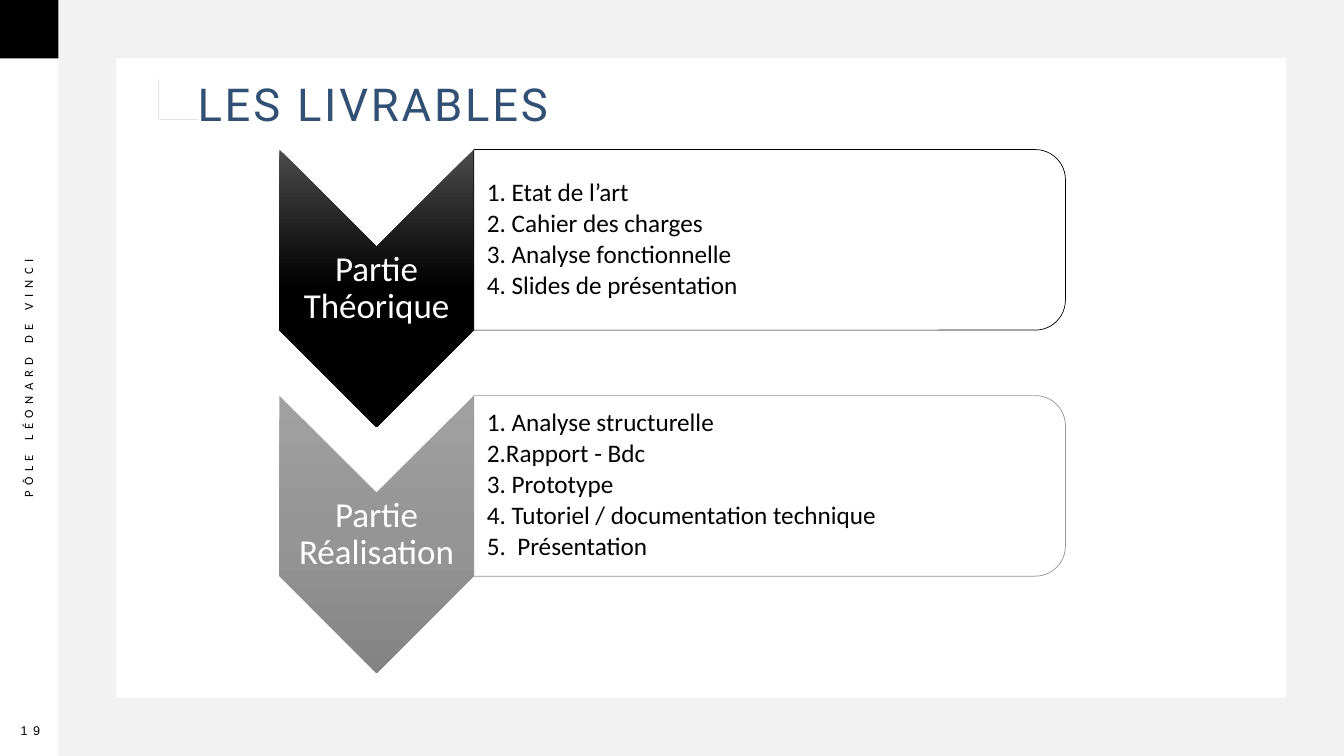
from lxml.etree import SubElement
from pptx import Presentation
from pptx.dml.color import RGBColor
from pptx.enum.shapes import MSO_SHAPE
from pptx.enum.text import MSO_ANCHOR, PP_ALIGN
from pptx.oxml.ns import qn
from pptx.util import Cm, Pt

COLORS = {"black": "000000", "white": "FFFFFF", "frame": "F2F2F2",
          "title": "305174", "accent": "1D395A", "grey": "959595"}
PARTS = [
    ("Partie Théorique", "black", ["4B4B4B", "000000", "000000"],
     [" Etat de l’art", " Cahier des charges", " Analyse fonctionnelle",
      " Slides de présentation"]),
    ("Partie Réalisation", "grey", ["A1A1A1", "959595", "848484"],
     [" Analyse structurelle", "Rapport - Bdc", " Prototype",
      " Tutoriel / documentation technique", "  Présentation"]),
]


def rgb(name):
    return RGBColor.from_string(COLORS[name])


def set_all(obj, values):
    for name, value in values.items():
        setattr(obj, name, value)


class Deck:
    """Holds the colours, fonts and current slide."""

    def __init__(self):
        self.prs = Presentation()
        set_all(self.prs, {"slide_width": Cm(33.87), "slide_height": Cm(19.05)})
        self.s = self.prs.slides.add_slide(self.prs.slide_layouts[6])

    def shape(self, kind, x, y, w, h, fill, line=None, turned=False):
        """Add a preset; a turned one is given by the box it fills on the slide."""
        if turned:
            x, y, w, h = x + (w - h) / 2, y + (h - w) / 2, h, w
        sp = self.s.shapes.add_shape(kind, Cm(x), Cm(y), Cm(w), Cm(h))
        sp.rotation = 90 if turned else 0
        self.paint(sp, fill, line)
        return sp

    def paint(self, sp, fill, line=None):
        sp.shadow.inherit = False
        sp.fill.solid()
        sp.fill.fore_color.rgb = rgb(fill)
        if line:
            sp.line.color.rgb = rgb(line)
            sp.line.width = Pt(0.5)
        else:
            sp.line.fill.background()

    def slash(self, points):
        fb = self.s.shapes.build_freeform(*points[0], scale=Cm(1))
        fb.add_line_segments(points[1:])
        self.paint(fb.convert_to_shape(), "accent")

    def chevron(self, x, y, w, h, shades):
        sp = self.shape(MSO_SHAPE.CHEVRON, x, y, w, h, "black", turned=True)
        solid = sp._element.spPr.find(qn("a:solidFill"))
        solid.tag = qn("a:gradFill")
        solid.clear()
        solid.set("rotWithShape", "0")
        stops = SubElement(solid, qn("a:gsLst"))
        for i, shade in enumerate(shades):
            gs = SubElement(stops, qn("a:gs"), pos=str(i * 50000))
            SubElement(gs, qn("a:srgbClr"), val=shade)
        SubElement(solid, qn("a:lin"), ang="5400000", scaled="0")

    def panel(self, x, y, w, h, line):
        sp = self.shape(MSO_SHAPE.ROUND_2_SAME_RECTANGLE, x, y, w, h,
                        "white", line, turned=True)
        color = sp._element.spPr.find(qn("a:solidFill"))[0]
        SubElement(color, qn("a:alpha"), val="90000")

    def text(self, x, y, w, h, lines, size, color="black", font="Calibri",
             align=PP_ALIGN.LEFT, anchor=MSO_ANCHOR.MIDDLE, spacing=0,
             left=0, numbered=False, wrap=True, rotation=0):
        sp = self.s.shapes.add_textbox(Cm(x), Cm(y), Cm(w), Cm(h))
        sp.rotation = rotation
        tf = sp.text_frame
        set_all(tf, {"word_wrap": wrap, "vertical_anchor": anchor,
                     "margin_left": Cm(left), "margin_right": 0,
                     "margin_top": 0, "margin_bottom": 0})
        for i, line in enumerate(lines):
            p = tf.paragraphs[0] if i == 0 else tf.add_paragraph()
            set_all(p, {"alignment": align, "line_spacing": 0.9})
            if numbered:
                p.space_after = Pt(2.7)
                pPr = p._p.get_or_add_pPr()
                pPr.set("marL", str(Cm(0.48)))
                pPr.set("indent", str(-Cm(0.48)))
                SubElement(pPr, qn("a:buFont"), typeface="+mj-lt")
                SubElement(pPr, qn("a:buAutoNum"), type="arabicPeriod")
            r = p.add_run()
            r.text = line
            set_all(r.font, {"size": Pt(size), "name": font})
            r.font.color.rgb = rgb(color)
            if spacing:
                r._r.get_or_add_rPr().set("spc", str(spacing * 100))


def main():
    deck = Deck()
    deck.text(-8.79, 9.17, 19.05, 0.74, ["PÔLE LÉONARD DE VINCI"], 9,
              align=PP_ALIGN.CENTER, spacing=4, rotation=270)
    frame = deck.shape(MSO_SHAPE.FRAME, 1.47, 0, 32.4, 19.05, "frame")
    frame.adjustments[0] = 0.077
    deck.shape(MSO_SHAPE.RECTANGLE, 0, 0, 1.47, 1.47, "black")
    deck.slash([(4.04, 2.21), (4.22, 2.21), (4.5, 2.74), (4.55, 2.9),
                (4.52, 3), (4.47, 3.05)])
    deck.text(0.18, 18.24, 1.07, 0.38, ["19"], 9, font="Arial",
              align=PP_ALIGN.CENTER, spacing=4, left=0.1, wrap=False)
    deck.text(4.98, 2.08, 25.6, 1.32, ["LES LIVRABLES"], 32.4, "title",
              "Roboto", anchor=MSO_ANCHOR.TOP, spacing=2)

    for i, (label, line, shades, items) in enumerate(PARTS):
        top = 3.77 + i * 6.2
        deck.chevron(7.04, top, 4.9, 6.99, shades)
        deck.text(7.04, top + 2.45, 4.9, 2.11, [label], 25, "white",
                  align=PP_ALIGN.CENTER)
        deck.panel(11.94, top, 14.91, 4.55, line)
        deck.text(11.91, top + 0.22, 14.68, 4.09, items, 18,
                  left=0.36, numbered=True)
    deck.prs.save("out.pptx")


if __name__ == "__main__":
    main()
